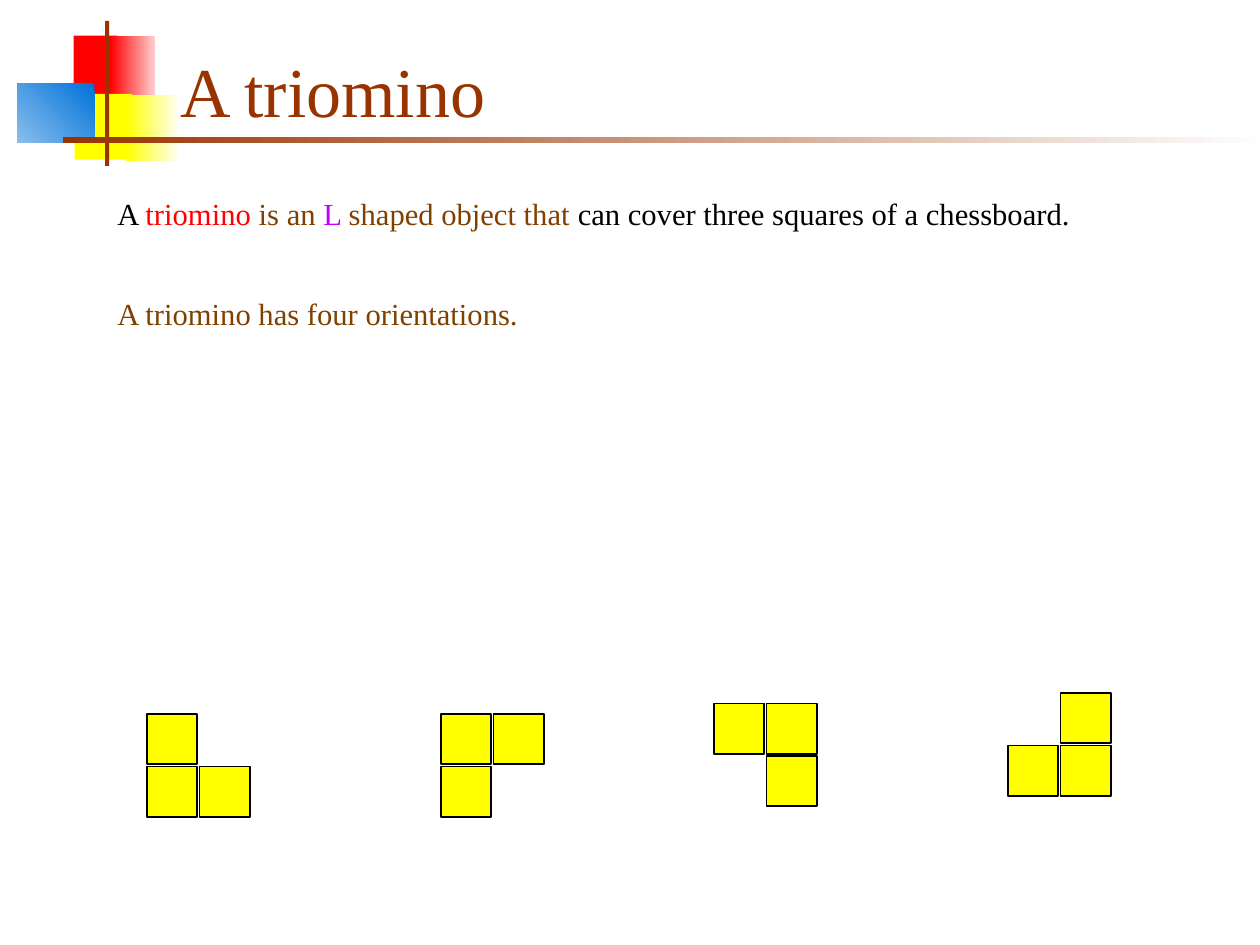
from dataclasses import dataclass

from pptx import Presentation
from pptx import util as u
from pptx.dml.color import RGBColor
from pptx.enum import shapes, text

COLS, ROWS = 24, 18
UNIT = u.Inches(10) / COLS


@dataclass(frozen=True)
class Theme:
    """Colours, font and type sizes of the slide."""
    font: str = "Times New Roman"
    title_size: float = 40
    body_size: float = 17.5
    rust: str = "993300"
    red: str = "FF0000"
    yellow: str = "FFFF00"
    brown: str = "804000"
    violet: str = "BF00FF"
    black: str = "000000"
    blue: str = "0073D9"
    pale_red: str = "FED0D0"
    pale_yellow: str = "FEFEEF"
    pale_blue: str = "8ABEEC"
    near_white: str = "FEFEFE"


T = Theme()


def grid(*cells):
    """Turn columns and rows into slide lengths."""
    return [u.Emu(round(c * UNIT)) for c in cells]


def add_rect(parent, box, colour, line=None):
    """Add a plain rectangle, outlined only when a line colour is given."""
    sp = parent.add_shape(shapes.MSO_SHAPE.RECTANGLE, *grid(*box))
    sp.shadow.inherit = False
    sp.fill.solid()
    sp.fill.fore_color.rgb = RGBColor.from_string(colour)
    if line:
        sp.line.color.rgb = RGBColor.from_string(line)
        sp.line.width = u.Pt(1)
    else:
        sp.line.fill.background()
    return sp


def add_fade(parent, box, start, end, angle=180):
    """Add a rectangle with a two-colour gradient at a counter-clockwise angle."""
    sp = add_rect(parent, box, start)
    sp.fill.gradient()
    sp.fill.gradient_angle = angle
    for stop, colour, position in zip(sp.fill.gradient_stops, (start, end), (0, 1)):
        stop.color.rgb = RGBColor.from_string(colour)
        stop.position = position


def add_text(s, box, paragraphs, size, anchor=text.MSO_ANCHOR.TOP, gap=0):
    """Add a text box whose paragraphs are lists of (words, colour) runs."""
    tf = s.shapes.add_textbox(*grid(*box)).text_frame
    tf.word_wrap = True
    tf.vertical_anchor = anchor
    for i, runs in enumerate(paragraphs):
        p = tf.add_paragraph() if i else tf.paragraphs[0]
        if i:
            p.space_before = u.Pt(gap)
        p.font.name, p.font.size = T.font, u.Pt(size)
        for words, colour in runs:
            r = p.add_run()
            r.text = words
            r.font.color.rgb = RGBColor.from_string(colour)


def add_triomino(s, col, row, missing):
    """Add a group of three tiles: a two-by-two block without one cell."""
    group = s.shapes.add_group_shape()
    for x, y in ((0, 0), (1, 0), (0, 1), (1, 1)):
        if (x, y) != missing:
            add_rect(group.shapes, (col + x, row + y, 0.96, 0.96), T.yellow, T.black)


def add_ornament(s):
    """Add the coloured blocks and the crossing rules beside the title."""
    add_rect(s.shapes, (1.4, 0.68, 0.84, 1.25), T.red)
    add_fade(s.shapes, (2.1, 0.68, 0.86, 1.25), T.pale_red, T.red)
    add_rect(s.shapes, (1.42, 1.79, 1.1, 1.25), T.yellow)
    add_fade(s.shapes, (2.4, 1.81, 0.98, 1.25), T.pale_yellow, T.yellow)
    add_fade(s.shapes, (0.33, 1.6, 1.47, 1.12), T.blue, T.pale_blue, 225)
    add_rect(s.shapes, (2, 0.4, 0.08, 2.76), T.rust)
    add_fade(s.shapes, (1.2, 2.6, 22.8, 0.12), T.near_white, T.rust)


def main():
    """Build the slide and save it."""
    prs = Presentation()
    prs.slide_width, prs.slide_height = grid(COLS, ROWS)
    s = prs.slides.add_slide(prs.slide_layouts[6])
    add_ornament(s)
    add_text(s, (3.2, 0.6, 20.45, 2.2), [[("A triomino", T.rust)]],
             T.title_size, text.MSO_ANCHOR.MIDDLE)
    add_text(s, (2, 3.6, 20.4, 3.2), [
        [("A ", T.black), ("triomino ", T.red), ("is an", T.brown), (" L ", T.violet),
         ("shaped object that ", T.brown),
         ("can cover three squares of a chessboard.", T.black)],
        [("A triomino has four orientations.", T.brown)],
    ], T.body_size, gap=36)
    for col, row, missing in ((2.8, 13.6, (1, 0)), (8.4, 13.6, (1, 1)),
                              (13.6, 13.4, (0, 1)), (19.2, 13.2, (0, 0))):
        add_triomino(s, col, row, missing)
    prs.save("out.pptx")


if __name__ == "__main__":
    main()
